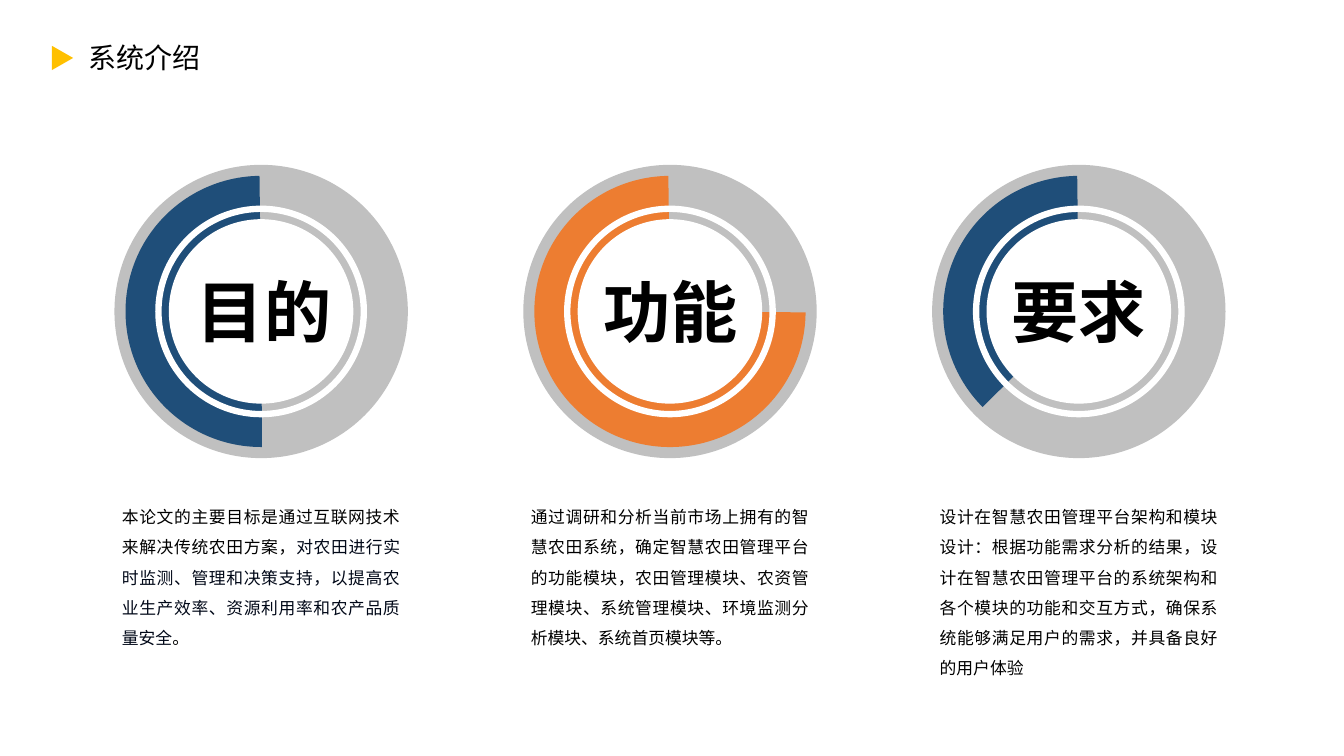
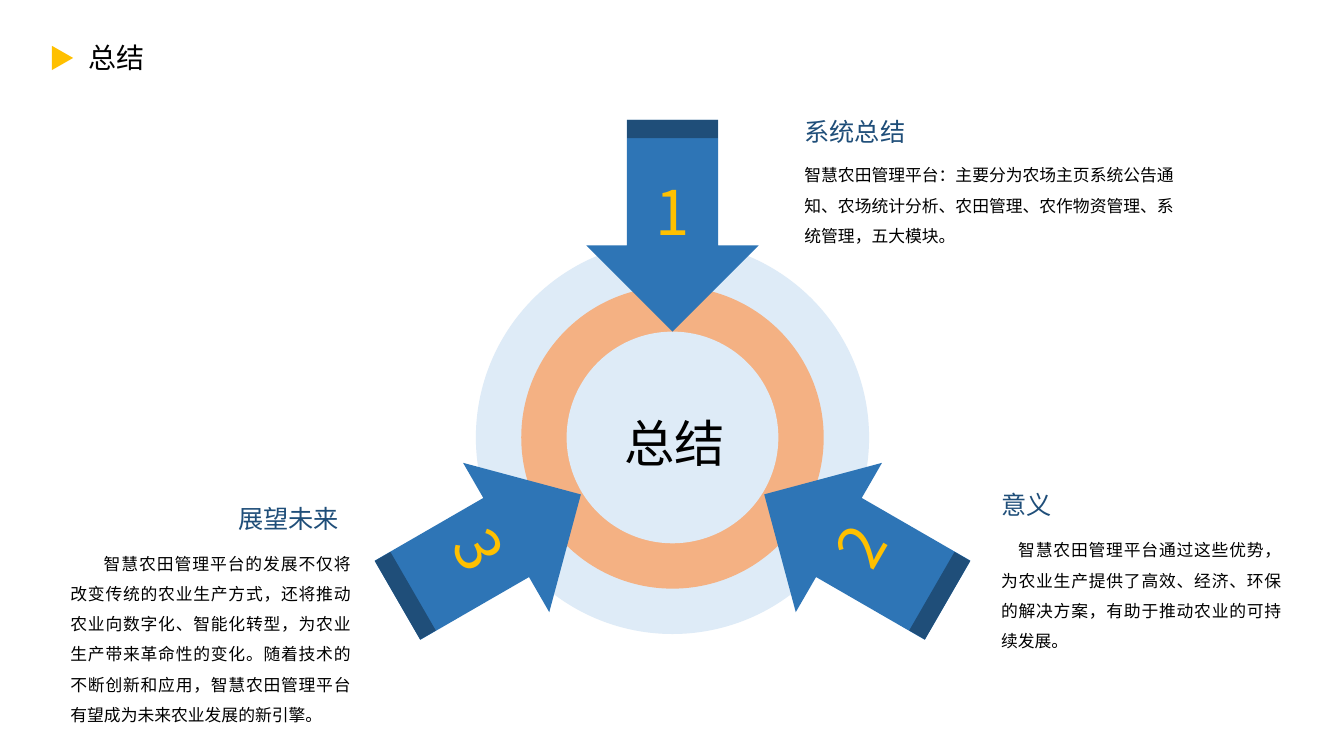
from math import cos, radians, sin

from lxml.etree import SubElement
from pptx import Presentation
from pptx.dml.color import RGBColor
from pptx.enum.shapes import MSO_SHAPE
from pptx.enum.text import MSO_AUTO_SIZE, PP_ALIGN
from pptx.oxml.ns import qn
from pptx.util import Inches, Pt

BLACK = RGBColor(0x00, 0x00, 0x00)
INK = RGBColor(0x00, 0x08, 0x18)
WHITE = RGBColor(0xFF, 0xFF, 0xFF)
GREY = RGBColor(0xC0, 0xC0, 0xC0)
NAVY = RGBColor(0x1F, 0x4E, 0x79)
BLUE = RGBColor(0x2E, 0x75, 0xB6)
PALE_BLUE = RGBColor(0xDE, 0xEB, 0xF7)
ORANGE = RGBColor(0xED, 0x7D, 0x31)
PEACH = RGBColor(0xF4, 0xB1, 0x83)
GOLD = RGBColor(0xFF, 0xC0, 0x00)

CJK = "Noto Sans CJK SC"
LATIN = "Calibri"
SERIF = "Times New Roman"

DIALS = [
    {"label": "目的", "label_x": 2.62, "start": 53.78, "color": NAVY, "height": 1.58,
     "body": [("本论文的主要目标是通过互联网技术来解决传统农田方案，", SERIF, BLACK),
              ("对农田进行实时监测、管理和决策支持，以提高农业生产效率、资源利用率和农产品质量安全",
               "Cabin", INK),
              ("。", SERIF, BLACK)]},
    {"label": "功能", "label_x": 6.65, "start": 0.23, "color": ORANGE, "height": 1.58,
     "body": [("通过调研和分析当前市场上拥有的智慧农田系统，确定智慧农田管理平台的功能模块，"
               "农田管理模块、农资管理模块、系统管理模块、环境监测分析模块、系统首页模块等。",
               LATIN, BLACK)]},
    {"label": "要求", "label_x": 10.7, "start": 81.11, "color": NAVY, "height": 1.88,
     "body": [("设计在智慧农田管理平台架构和模块设计：根据功能需求分析的结果，"
               "设计在智慧农田管理平台的系统架构和各个模块的功能和交互方式，"
               "确保系统能够满足用户的需求，并具备良好的用户体验", LATIN, BLACK)]},
]
DIAL_LEFT, DIAL_PITCH, DIAL_Y = 2.59, 4.055, 3.09

HUB_X, HUB_Y = 6.67, 4.34
RINGS = [(3.9, PALE_BLUE), (3, PEACH), (2.1, PALE_BLUE)]
ARROWS = [
    {"number": "1", "turn": 0, "hub_y": 4.34, "center": (6.67, 2.1), "number_turn": 0},
    {"number": "2", "turn": 120, "hub_y": 4.38, "center": (8.53, 5.41), "number_turn": 300},
    {"number": "3", "turn": 240, "hub_y": 4.38, "center": (4.76, 5.45), "number_turn": 60},
]
NOTES = [
    {"heading": "系统总结", "heading_at": (7.88, 1.1, 1.21, 0.4), "heading_align": PP_ALIGN.LEFT,
     "at": (7.88, 1.49, 3.89, 0.97), "font": LATIN, "align": PP_ALIGN.LEFT, "indent": 0,
     "body": "智慧农田管理平台：主要分为农场主页系统公告通知、农场统计分析、农田管理、"
             "农作物资管理、系统管理，五大模块。"},
    {"heading": "意义", "heading_at": (9.83, 4.81, 0.71, 0.4), "heading_align": PP_ALIGN.LEFT,
     "at": (9.83, 5.21, 2.98, 1.27), "font": SERIF, "align": PP_ALIGN.JUSTIFY, "indent": 0.17,
     "body": "智慧农田管理平台通过这些优势，为农业生产提供了高效、经济、环保的解决方案，"
             "有助于推动农业的可持续发展。"},
    {"heading": "展望未来", "heading_at": (2.25, 4.94, 1.21, 0.4), "heading_align": PP_ALIGN.RIGHT,
     "at": (0.6, 5.34, 2.98, 1.89), "font": CJK, "align": PP_ALIGN.JUSTIFY, "indent": 0.33,
     "body": "智慧农田管理平台的发展不仅将改变传统的农业生产方式，还将推动农业向数字化、智能化转型，"
             "为农业生产带来革命性的变化。随着技术的不断创新和应用，"
             "智慧农田管理平台有望成为未来农业发展的新引擎。"},
]


def around(x, y, width, height):
    return x - width / 2, y - height / 2, width, height


def add_figure(slide, kind, at, color, turn=0, adjustments=()):
    shape = slide.shapes.add_shape(kind, *map(Inches, at))
    shape.shadow.inherit = False
    shape.fill.solid()
    shape.fill.fore_color.rgb = color
    shape.line.fill.background()
    shape.rotation = turn
    for index, value in enumerate(adjustments):
        shape.adjustments[index] = value
    return shape


def add_disc(slide, x, y, size, color):
    add_figure(slide, MSO_SHAPE.OVAL, around(x, y, size, size), color)


def add_text(slide, at, spans, size, align=PP_ALIGN.LEFT, wrap=False, spacing=None,
             bold=None, turn=0, indent=0, side_inset=0.1):
    box = slide.shapes.add_textbox(*map(Inches, at))
    box.rotation = turn
    frame = box.text_frame
    frame.word_wrap = wrap
    frame.auto_size = MSO_AUTO_SIZE.SHAPE_TO_FIT_TEXT
    frame.margin_left = frame.margin_right = Inches(side_inset)
    paragraph = frame.paragraphs[0]
    paragraph.alignment = align
    if spacing:
        paragraph.line_spacing = spacing
    if indent:
        paragraph._p.get_or_add_pPr().set("indent", str(Inches(indent)))
    for text, font_name, color in spans:
        span = paragraph.add_run()
        span.text = text
        span.font.size = Pt(size)
        span.font.bold = bold
        span.font.color.rgb = color
        span.font.name = font_name
        SubElement(span._r.get_or_add_rPr(), qn("a:ea")).set("typeface", CJK)


def add_page(deck, title, title_width):
    page = deck.slides.add_slide(deck.slide_layouts[6])
    add_text(page, (0.78, 0.35, title_width, 0.44), [(title, LATIN, BLACK)], 20)
    add_figure(page, MSO_SHAPE.ISOSCELES_TRIANGLE, (0.5, 0.47, 0.24, 0.21), GOLD, 90)
    return page


def add_dial(page, x, dial):
    add_disc(page, x, DIAL_Y, 2.91, GREY)
    add_figure(page, MSO_SHAPE.BLOCK_ARC, around(x, DIAL_Y, 2.69, 2.69), dial["color"],
               adjustments=(dial["start"], 161.59, 0.2))
    add_figure(page, MSO_SHAPE.DONUT, around(x, DIAL_Y, 2.1, 2.1), WHITE, adjustments=(0.03,))
    add_disc(page, x, DIAL_Y, 1.83, WHITE)
    add_text(page, around(dial["label_x"], DIAL_Y, 1.55, 0.91), [(dial["label"], CJK, BLACK)],
             48, PP_ALIGN.CENTER, bold=True)
    add_text(page, (x - 1.38, 4.88, 2.76, dial["height"]), dial["body"], 12, PP_ALIGN.JUSTIFY,
             wrap=True, spacing=1.5, side_inset=0)


def add_arrow(page, arrow):
    turn = arrow["turn"]

    def spoke(distance, width, height):
        x = HUB_X + distance * sin(radians(turn))
        y = arrow["hub_y"] - distance * cos(radians(turn))
        return around(x, y, width, height)

    add_figure(page, MSO_SHAPE.DOWN_ARROW, spoke(2.1, 1.71, 2.1), BLUE, turn, (0.53, 0.5))
    add_figure(page, MSO_SHAPE.RECTANGLE, spoke(3.06, 0.9, 0.18), NAVY, turn)
    add_text(page, around(*arrow["center"], 0.56, 0.84), [(arrow["number"], CJK, GOLD)],
             44, PP_ALIGN.CENTER, turn=arrow["number_turn"])


def main():
    deck = Presentation()
    deck.slide_width, deck.slide_height = Inches(13.33), Inches(7.5)

    intro = add_page(deck, "系统介绍", 1.32)
    for index, dial in enumerate(DIALS):
        add_dial(intro, DIAL_LEFT + index * DIAL_PITCH, dial)

    summary = add_page(deck, "总结", 0.76)
    for size, color in RINGS:
        add_disc(summary, HUB_X, HUB_Y, size, color)
    add_text(summary, (5.85, 3.74, 1.68, 0.9), [("总结", CJK, BLACK)], 36, PP_ALIGN.CENTER,
             wrap=True, spacing=1.5)
    for arrow in ARROWS:
        add_arrow(summary, arrow)
    for note in NOTES:
        add_text(summary, note["heading_at"], [(note["heading"], LATIN, NAVY)], 18,
                 note["heading_align"])
        add_text(summary, note["at"], [(note["body"], note["font"], BLACK)], 12, note["align"],
                 wrap=True, spacing=1.5, indent=note["indent"])

    deck.save("out.pptx")


if __name__ == "__main__":
    main()
